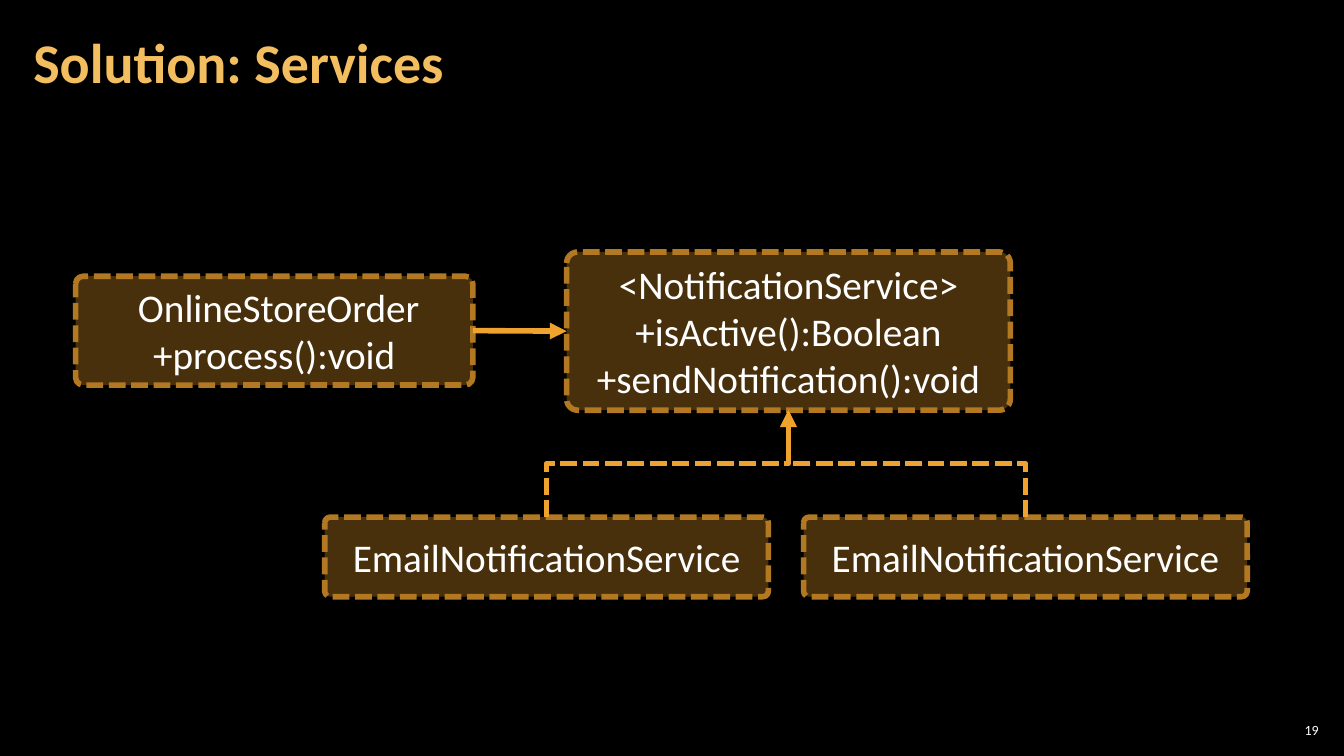
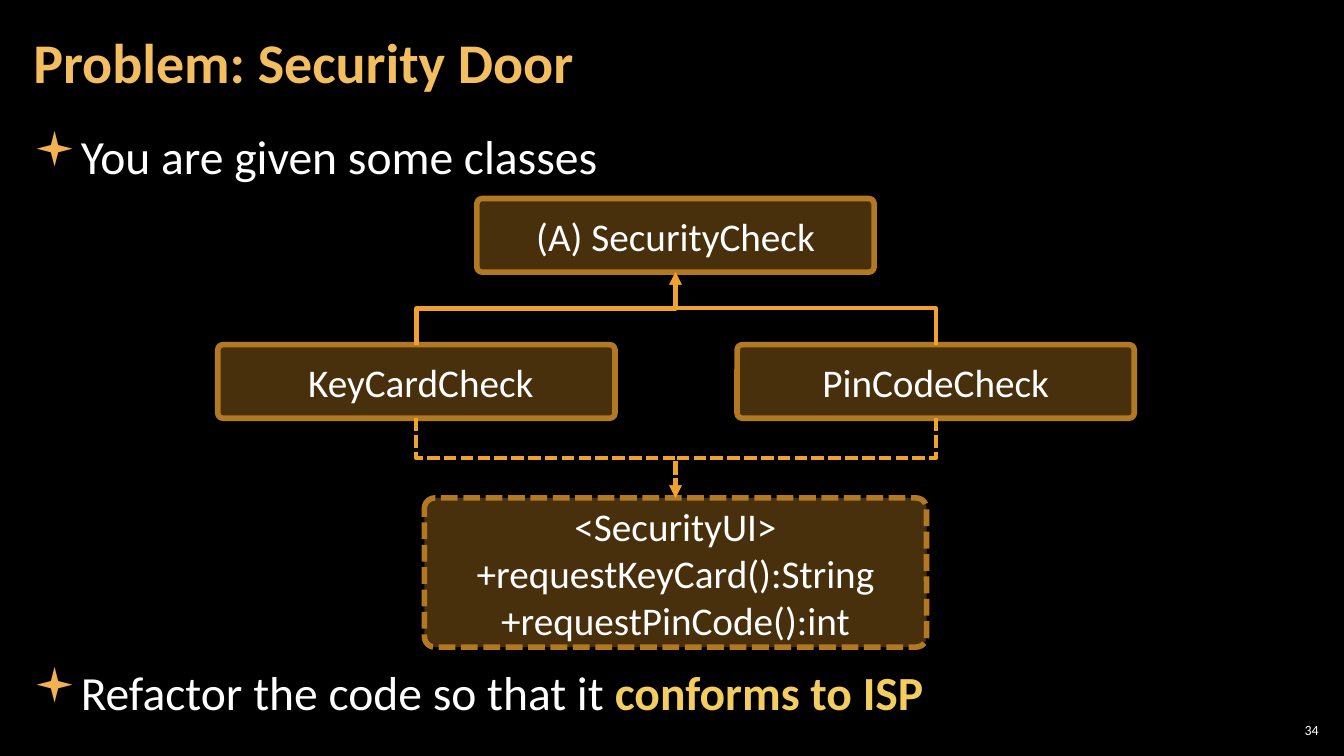
from lxml import etree
from pptx import Presentation
from pptx.dml.color import RGBColor
from pptx.enum.dml import MSO_LINE_DASH_STYLE as Dash
from pptx.enum.shapes import MSO_CONNECTOR as Link, MSO_SHAPE as Shape
from pptx.enum.text import MSO_ANCHOR as Anchor, MSO_AUTO_SIZE as Fit, PP_ALIGN as Align
from pptx.oxml.ns import qn
from pptx.util import Inches, Pt

W, H = 13.33, 7.5
FONT = "Calibri"
BLACK, WHITE = "000000", "FFFFFF"
TITLE, ACCENT, BORDER = "F3BE60", "F0A22E", "B27822"
BULLET, HIGHLIGHT = "F2B254", "F3CD60"
TOP, LEFT, BOTTOM, RIGHT = 0, 1, 2, 3


def rgb(color):
    return RGBColor.from_string(color)


def inches(box):
    return [Inches(v) for v in box]


def within(region, x, y, w, h):
    """Turn percentages of a region into a box in inches."""
    left, top, width, height = region
    return (left + width * x / 100, top + height * y / 100,
            width * w / 100, height * h / 100)


def sub(parent, tag, **attrs):
    return etree.SubElement(parent, qn(tag), attrs)


def write(p, text, size=28, color=WHITE, bold=False):
    r = p.add_run()
    r.text = text
    r.font.name, r.font.size, r.font.bold = FONT, Pt(size), bold
    r.font.color.rgb = rgb(color)


def set_text(sp, text, align=Align.LEFT, anchor=Anchor.MIDDLE, margins=None,
             spacing=None, **font):
    """Fill a shape's text frame, one paragraph per line of text."""
    tf = sp.text_frame
    tf.word_wrap, tf.auto_size, tf.vertical_anchor = True, Fit.NONE, anchor
    if margins:
        tf.margin_left = tf.margin_right = Inches(margins[0])
        tf.margin_top = tf.margin_bottom = Inches(margins[1])
    for i, line in enumerate(text.split("\n")):
        p = tf.add_paragraph() if i else tf.paragraphs[0]
        p.alignment, p.line_spacing = align, spacing
        write(p, line, **font)
    return tf


def add_slide(prs, title, number):
    """Slide with its title and page number."""
    s = prs.slides.add_slide(prs.slide_layouts[5])
    sp = s.shapes.title
    sp.left, sp.top, sp.width, sp.height = inches((0.21, 0.04, 10.47, 1.21))
    set_text(sp, title, margins=(0.12, 0.04), spacing=0.9,
             size=40, color=TITLE, bold=True)
    sp = s.shapes.add_textbox(*inches((12.65, 7.14, 0.47, 0.21)))
    set_text(sp, number, align=Align.RIGHT, margins=(0.04, 0.04), size=10)
    return s


def class_box(s, box, text, dashed=False):
    sp = s.shapes.add_shape(Shape.ROUNDED_RECTANGLE, *inches(box))
    sp.adjustments[0] = 0.07
    sp.shadow.inherit = False
    sp.fill.solid()
    sp.fill.fore_color.rgb = rgb(ACCENT)
    fill = sp._element.spPr.find(qn("a:solidFill"))
    sub(fill[0], "a:alpha", val="30000")
    sp.line.color.rgb, sp.line.width = rgb(BORDER), Pt(4)
    if dashed:
        sp.line.dash_style = Dash.DASH
        sp.line._ln.find(qn("a:prstDash")).set("val", "sysDash")
    set_text(sp, text, align=Align.CENTER)
    return sp


def arrow(s, start, start_side, end, end_side, kind=Link.ELBOW, width=4, dotted=False):
    """Arrow between two boxes, joined at the middles of their sides."""
    cxn = s.shapes.add_connector(kind, 0, 0, 0, 0)
    cxn.begin_connect(start, start_side)
    cxn.end_connect(end, end_side)
    if kind == Link.ELBOW:
        turn_upright(cxn)
    cxn.line.color.rgb, cxn.line.width = rgb(ACCENT), Pt(width)
    if dotted:
        cxn.line.dash_style = Dash.SQUARE_DOT
    sub(cxn.line._ln, "a:tailEnd", type="triangle")
    sub(cxn._element.spPr, "a:effectLst")


def turn_upright(cxn):
    """Rotate an elbow so that it leaves and arrives vertically."""
    dx, dy = cxn.end_x - cxn.begin_x, cxn.end_y - cxn.begin_y
    mid_x, mid_y = cxn.begin_x + dx // 2, cxn.begin_y + dy // 2
    cxn.width, cxn.height = abs(dy), abs(dx)
    cxn.left, cxn.top = mid_x - abs(dy) // 2, mid_y - abs(dx) // 2
    xfrm = cxn._element.spPr.find(qn("a:xfrm"))
    xfrm.attrib.clear()
    xfrm.set("rot", str((90 if dy > 0 else 270) * 60000))
    if dx * dy > 0:
        xfrm.set("flipV", "1")


def bullets(s, box, items):
    """Bulleted text; each item is (space before, [(text, font), ...])."""
    sp = s.shapes.add_textbox(*inches(box))
    tf = set_text(sp, "", anchor=Anchor.TOP, margins=(0.12, 0.04))
    tf.clear()
    for i, (before, runs) in enumerate(items):
        p = tf.add_paragraph() if i else tf.paragraphs[0]
        p.line_spacing, p.space_before, p.space_after = 1.05, Pt(before), Pt(6)
        pPr = p._p.get_or_add_pPr()
        pPr.set("marL", str(Inches(0.33)))
        pPr.set("indent", str(-Inches(0.33)))
        sub(sub(pPr, "a:buClr"), "a:srgbClr", val=BULLET)
        sub(pPr, "a:buFont", typeface="Wingdings")
        sub(pPr, "a:buChar", char="▪")
        for text, font in runs:
            write(p, text, size=34, **font)


def services_diagram(s, region):
    order = class_box(s, within(region, 0, 7.02, 33.91, 31.58),
                      " OnlineStoreOrder\n+process():void", dashed=True)
    service = class_box(s, within(region, 41.91, 0, 37.87, 45.91),
                        "<NotificationService>\n+isActive():Boolean\n"
                        "+sendNotification():void", dashed=True)
    arrow(s, order, RIGHT, service, LEFT, kind=Link.STRAIGHT)
    for x in (21.26, 62.13):
        email = class_box(s, within(region, x, 76.9, 37.87, 23.1),
                          "EmailNotificationService", dashed=True)
        arrow(s, email, TOP, service, BOTTOM, dotted=True)


def security_diagram(s, region):
    base = class_box(s, within(region, 28.27, 0, 43.34, 16.4), "(A) SecurityCheck")
    ui = class_box(s, within(region, 22.55, 66.74, 54.79, 33.26),
                   "<SecurityUI>\n+requestKeyCard():String\n+requestPinCode():int",
                   dashed=True)
    for x, name in ((0, " KeyCardCheck"), (56.66, "PinCodeCheck")):
        check = class_box(s, within(region, x, 32.58, 43.34, 16.4), name)
        arrow(s, check, TOP, base, BOTTOM, width=3)
        arrow(s, check, BOTTOM, ui, TOP, width=3, dotted=True)


def main():
    prs = Presentation()
    prs.slide_width, prs.slide_height = Inches(W), Inches(H)
    fill = prs.slide_master.background.fill
    fill.solid()
    fill.fore_color.rgb = rgb(BLACK)

    # Services
    s = add_slide(prs, "Solution: Services", "19")
    services_diagram(s, (0.75, 2.5, 11.62, 3.42))

    # Security door
    s = add_slide(prs, "Problem: Security Door", "34")
    bullets(s, (0.21, 1.19, 12.91, 6.09), [
        (6, [("You are given some classes", {})]),
        (334, [("Refactor the code so that it ", {}),
               ("conforms to ISP", {"color": HIGHLIGHT, "bold": True})]),
    ])
    security_diagram(s, (2.16, 1.97, 9.09, 4.45))

    prs.save("out.pptx")


if __name__ == "__main__":
    main()
